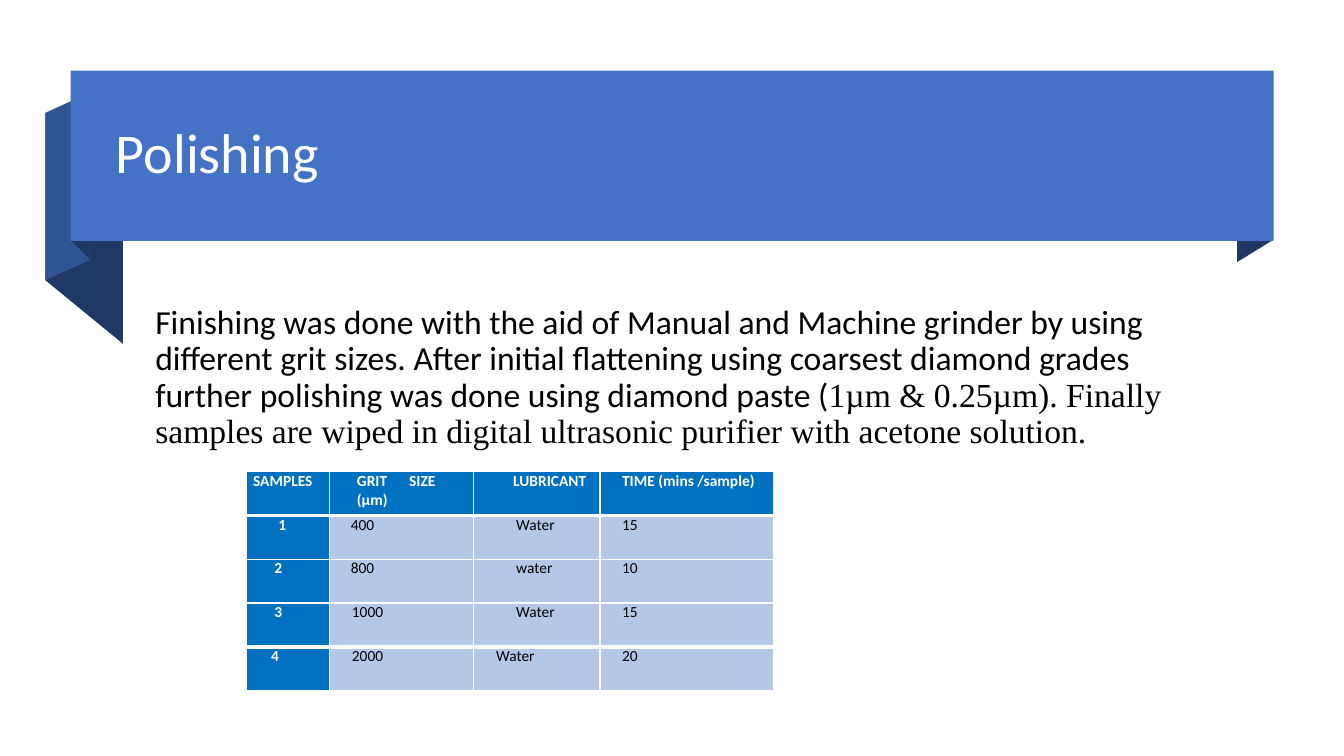
import pptx
import pptx.util
import pptx.dml.color
import pptx.enum.text
import pptx.enum.shapes
import pptx.oxml.ns
import lxml.etree

PX = 9144  # EMU per px, 100 px to the inch
COLORS = {"navy": "203864", "fold": "2F5597", "banner": "4472C4", "head": "0070C0",
          "cell": "B4C7E7", "white": "FFFFFF", "black": "000000"}


def paint(obj, color):
    obj.fill.solid()
    obj.fill.fore_color.rgb = pptx.dml.color.RGBColor.from_string(COLORS[color])


def add_run(p, text, color, **fmt):
    r = p.add_run()
    r.text = text
    r.font.color.rgb = pptx.dml.color.RGBColor.from_string(COLORS[color])
    for name, value in fmt.items():
        setattr(r.font, name, value)


prs = pptx.Presentation()
prs.slide_width, prs.slide_height = 1333 * PX, 750 * PX
slide = prs.slides.add_slide(prs.slide_layouts[1])
shapes = slide.shapes
title, body = slide.placeholders

# Ribbon folds and banner
folds = [
    ("navy", [(122, 341), (45, 278), (45, 112), (122, 175)]),
    ("fold", [(89, 258), (45, 278), (45, 112), (89, 92)]),
    ("navy", [(89, 257), (71, 239), (71, 70), (89, 89)]),
    ("navy", [(1263, 238), (1227, 260), (1227, 91), (1263, 70)]),
]
ribbon = []
for color, points in folds:
    fb = shapes.build_freeform(*points[0], scale=PX)
    fb.add_line_segments(points[1:], close=True)
    ribbon.append((fb.convert_to_shape(), color))
banner = shapes.add_shape(pptx.enum.shapes.MSO_SHAPE.RECTANGLE,
                          70 * PX, 70 * PX, 1193 * PX, 169 * PX)
ribbon.append((banner, "banner"))
for sp, color in ribbon:
    paint(sp, color)
    sp.line.fill.background()
    sp.shadow.inherit = False

# Title and body text, in front of the ribbon
anchors = pptx.enum.text.MSO_ANCHOR
for sp, box, anchor in [(title, (105, 88, 1123, 133), anchors.MIDDLE),
                        (body, (144, 272, 1062, 390), anchors.TOP)]:
    shapes._spTree.append(sp._element)
    sp.left, sp.top, sp.width, sp.height = (v * PX for v in box)
    tf = sp.text_frame
    frame_format = {"word_wrap": True, "vertical_anchor": anchor,
                    "auto_size": pptx.enum.text.MSO_AUTO_SIZE.NONE}
    for name, value in frame_format.items():
        setattr(tf, name, value)
    p = tf.paragraphs[0]
    para_format = {"line_spacing": 0.9, "space_before": pptx.util.Pt(0),
                   "alignment": pptx.enum.text.PP_ALIGN.LEFT}
    for name, value in para_format.items():
        setattr(p, name, value)

add_run(title.text_frame.paragraphs[0], "Polishing", "white",
        name="Calibri", size=pptx.util.Pt(40))

body.text_frame.margin_top = 31 * PX
p = body.text_frame.paragraphs[0]
pPr = p._p.get_or_add_pPr()
pPr.set("marL", "0")
pPr.set("indent", "0")
lxml.etree.SubElement(pPr, pptx.oxml.ns.qn("a:buNone"))
add_run(p, "Finishing was done with the aid of Manual and Machine grinder by using "
           "different grit sizes. After initial flattening using coarsest diamond grades "
           "further polishing was done using diamond paste (", "black",
        name="Calibri", size=pptx.util.Pt(24))
add_run(p, "1µm & 0.25µm). Finally samples are wiped in digital ultrasonic purifier "
           "with acetone solution.", "black",
        name="Times New Roman", size=pptx.util.Pt(24))

# Table: each cell is its text and left indent in px
rows = [
    [("SAMPLES", 7), ("GRIT SIZE (µm)", 27), ("LUBRICANT", 39), ("TIME (mins /sample)", 22)],
    [("1", 32), ("400", 21), ("Water", 42), ("15", 22)],
    [("2", 28), ("800", 21), ("water", 42), ("10", 22)],
    [("3", 28), ("1000", 22), ("Water", 42), ("15", 22)],
    [("4", 25), ("2000", 22), ("Water", 22), ("20", 22)],
]
col_widths = [83, 143, 125, 172]
frame = shapes.add_table(len(rows), len(col_widths), 244 * PX, 468 * PX,
                         sum(col_widths) * PX, 217 * PX)
table = frame.table
for col, width in zip(table.columns, col_widths):
    col.width = width * PX

last = len(rows) - 1
thick_rules = (1, last)  # rules under the header and above the last row
for i, row in enumerate(rows):
    for j, (text, indent) in enumerate(row):
        cell = table.cell(i, j)
        label = i == 0 or j == 0
        for side in ("left", "top", "right", "bottom"):
            setattr(cell, "margin_" + side, 0)
        p = cell.text_frame.paragraphs[0]
        p.alignment = pptx.enum.text.PP_ALIGN.JUSTIFY
        p.line_spacing = pptx.util.Pt(13.4)
        pPr = p._p.get_or_add_pPr()
        pPr.set("marL", str(indent * PX))
        if (i, j) == (0, 1):
            pPr.set("marR", str(38 * PX))  # wraps the unit below the heading
        add_run(p, text, "white" if label else "black",
                name="Calibri", size=pptx.util.Pt(11), bold=label)

        # White borders come before the fill in the cell properties
        tcPr = cell._tc.get_or_add_tcPr()
        widths = {"lnL": 1, "lnR": 1, "lnT": 3 if i in thick_rules else 1,
                  "lnB": 3 if i + 1 in thick_rules else 1}
        for tag, points in widths.items():
            ln = lxml.etree.SubElement(tcPr, pptx.oxml.ns.qn("a:" + tag),
                                       w=str(pptx.util.Pt(points)))
            fill = lxml.etree.SubElement(ln, pptx.oxml.ns.qn("a:solidFill"))
            lxml.etree.SubElement(fill, pptx.oxml.ns.qn("a:srgbClr"), val=COLORS["white"])
        paint(cell, "head" if label else "cell")

prs.save("out.pptx")
